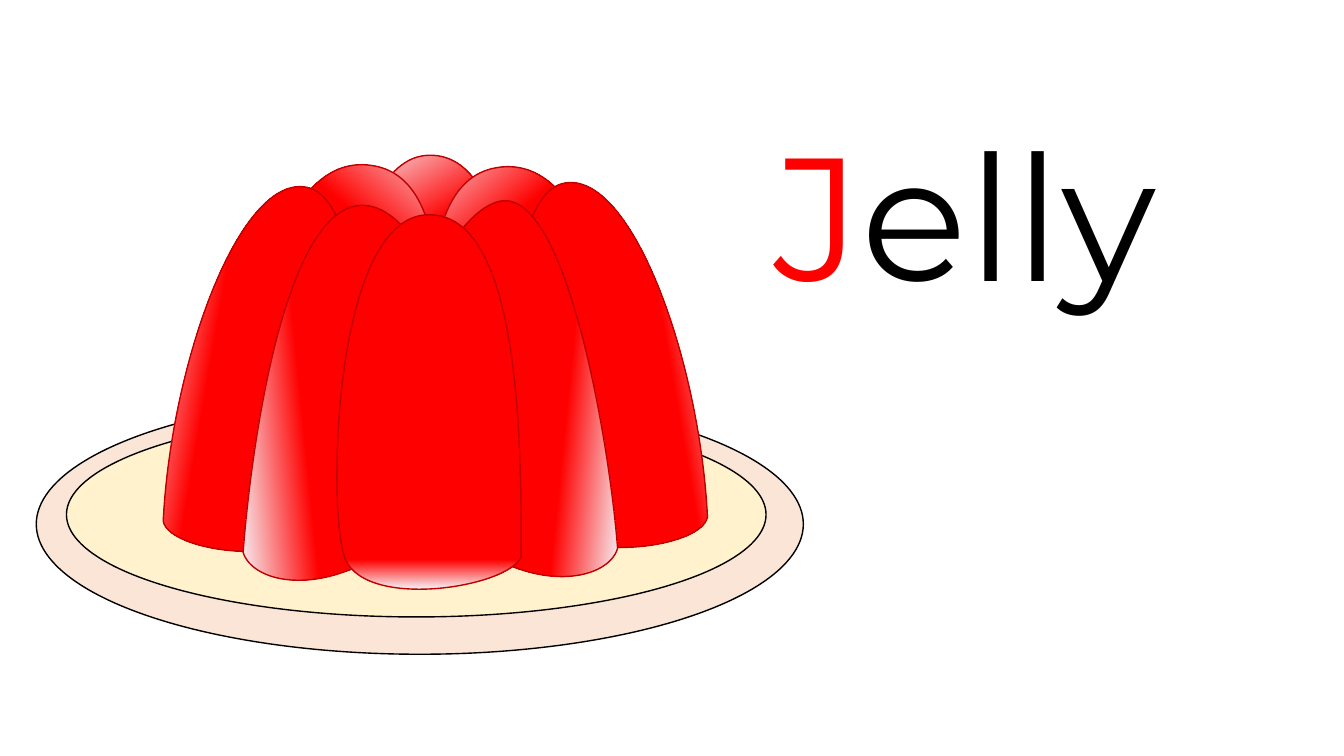
from lxml import etree
from pptx import Presentation
from pptx.dml.color import RGBColor
from pptx.enum.shapes import MSO_SHAPE
from pptx.enum.text import MSO_AUTO_SIZE
from pptx.oxml.ns import qn
from pptx.util import Pt

OVAL = MSO_SHAPE.OVAL
FIT_SHAPE = MSO_AUTO_SIZE.SHAPE_TO_FIT_TEXT

COLORS = {
    "rim": "FBE5D6", "plate": "FFF2CC", "black": "000000",
    "red": "FF0000", "shine": "F6F8FC", "edge": "C00000",
}

# Each outline: width, height, then a start point and three cubic curves.
# The last curve returns to the start.
OUTLINES = {
    "middle": (131.8, 267.8, [
        (5, 242.6), (-6.5, 202.3), (-1.4, 0.7), (65.5, 0), (132.5, -1.4),
        (131.8, 169.2), (131.8, 244.1), (123.8, 266.4), (15.8, 283.7)]),
    "rear": (133.2, 265.7, [
        (5.4, 227.1), (-4.9, 185.2), (-7.8, 3.5), (65.1, 0), (138, -3.5),
        (140.6, 138), (126.7, 252.4), (117.6, 275), (15, 269)]),
    "outer": (127.4, 265.7, [
        (2.5, 227.1), (-7.6, 184.5), (13.5, 2.5), (62.9, 0), (111.6, -2.4),
        (137.7, 138), (123.8, 252.4), (115.5, 275.1), (12.8, 269.1)]),
    "front right": (147.6, 270.7, [
        (22.9, 224), (-36.1, 161.9), (33.8, 6.8), (81.9, 0), (130, -6.3),
        (147.5, 179), (147.6, 253.4), (139.7, 275.9), (81.1, 286.1)]),
    "front left": (148.3, 270.7, [
        (22.9, 224), (-36.1, 161.9), (27.4, -5.3), (81.9, 0), (137.2, 5),
        (148.2, 179), (148.3, 253.4), (139.7, 275.9), (81.9, 285.3)]),
}

# outline, left, top, tilt, mirrored, clockwise shine angle, shine end
LOBES = [
    ("middle", 215.3, 0, 0, False, 60, 0.26),
    ("rear", 283.7, 7.2, -9.8, False, 60, 0.26),
    ("outer", 336.2, 18, -9.8, False, 180, 0.26),
    ("front right", 259.2, 33.1, -4.2, False, 190, 0.26),
    ("rear", 152.6, 5.8, 9.8, True, 60, 0.26),
    ("outer", 106.6, 20.9, 9.8, True, 180, 0.29),
    ("front left", 156.2, 36, 4.2, True, 190, 0.29),
    ("middle", 214.6, 42.5, 0, False, 270, 0.08),
]


def rgb(name):
    return RGBColor.from_string(COLORS[name])


def set_line(sp, color):
    sp.shadow.inherit = False
    sp.line.color.rgb = rgb(color)
    sp.line.width = Pt(1)


def add_oval(shapes, x, y, w, h, color):
    sp = shapes.add_shape(OVAL, Pt(x), Pt(y), Pt(w), Pt(h))
    sp.fill.solid()
    sp.fill.fore_color.rgb = rgb(color)
    set_line(sp, "black")


def curve_path(sp, points):
    """Replace the straight sides of a freeform with cubic curves."""
    path = next(sp._element.iter(qn("a:path")))
    for child in list(path):
        path.remove(child)
    steps = [("a:moveTo", points[:1])]
    steps += [("a:cubicBezTo", points[i:i + 3]) for i in range(1, len(points), 3)]
    for tag, step_points in steps:
        step = etree.SubElement(path, qn(tag))
        for x, y in step_points:
            etree.SubElement(step, qn("a:pt"), x=str(Pt(x)), y=str(Pt(y)))
    etree.SubElement(path, qn("a:close"))


def add_lobe(shapes, x, y, outline, tilt, mirrored, angle, shine_end):
    w, h, points = OUTLINES[outline]
    if mirrored:
        points = [(w - px, py) for px, py in points]
        angle = 180 - angle
    builder = shapes.build_freeform(Pt(x), Pt(y))
    builder.add_line_segments([
        (Pt(x + w), Pt(y)), (Pt(x + w), Pt(y + h)), (Pt(x), Pt(y + h))])
    sp = builder.convert_to_shape()
    curve_path(sp, points + points[:1])
    sp.rotation = tilt
    sp.fill.gradient()
    sp.fill.gradient_angle = -angle % 360
    shine, body = sp.fill.gradient_stops
    shine.color.rgb, shine.position = rgb("shine"), 0
    body.color.rgb, body.position = rgb("red"), shine_end
    set_line(sp, "edge")


def add_jelly(slide, x, y):
    shapes = slide.shapes.add_group_shape().shapes
    add_oval(shapes, x, y + 170.6, 547.9, 185.8, "rim")
    add_oval(shapes, x + 21.6, y + 183.6, 499.7, 146.2, "plate")
    for outline, dx, dy, *style in LOBES:
        add_lobe(shapes, x + dx, y + dy, outline, *style)


def add_word(slide, x, y, w, h):
    tf = slide.shapes.add_textbox(Pt(x), Pt(y), Pt(w), Pt(h)).text_frame
    tf.word_wrap = True
    tf.auto_size = FIT_SHAPE
    p = tf.paragraphs[0]
    p.font.name = "Montserrat"
    p.font.size = Pt(125)
    for text, color in (("J", "red"), ("elly", "black")):
        r = p.add_run()
        r.text = text
        r.font.color.rgb = rgb(color)


def main():
    prs = Presentation()
    prs.slide_width, prs.slide_height = Pt(960), Pt(540)
    slide = prs.slides.add_slide(prs.slide_layouts[6])
    add_word(slide, 545.8, 72.7, 370.8, 158.4)
    add_jelly(slide, 25.9, 110.9)
    prs.save("out.pptx")


if __name__ == "__main__":
    main()
